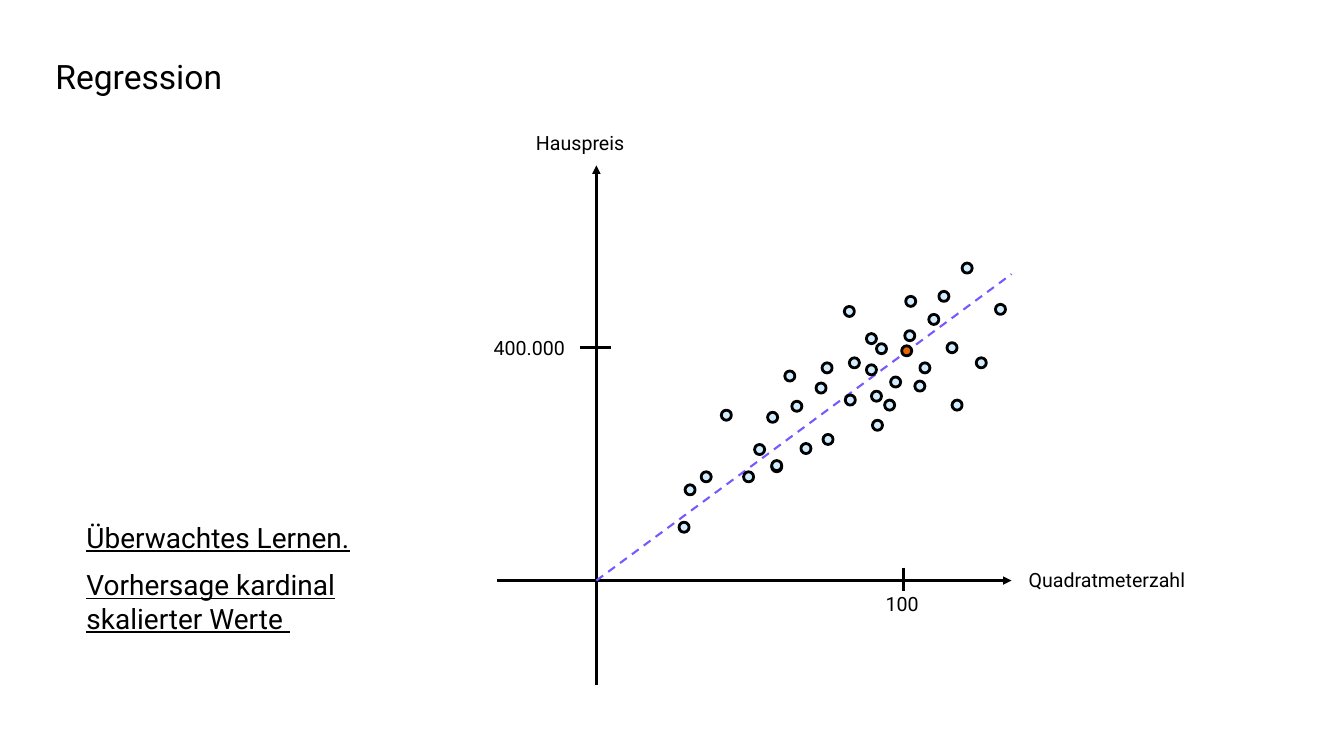
from dataclasses import dataclass

from lxml import etree
from pptx import Presentation
from pptx import util as u
from pptx.dml import color
from pptx.enum import dml, shapes, text
from pptx.oxml import ns

Pt = u.Pt


@dataclass(frozen=True)
class Theme:
    font: str = "Roboto"
    ink: str = "000000"
    dot: str = "D0EDFF"
    mark: str = "E76500"
    trend: str = "7858FF"
    title: int = 24
    body: int = 20
    label: int = 14
    stroke: float = 2
    dash: float = 1.5
    size: float = 7.2


THEME = Theme()

HOUSES = [
    (515.5, 293), (680.4, 285.8), (619.2, 238.3), (711.4, 217.4),
    (676.8, 244.8), (632.2, 285.8), (565.9, 286.6), (588.2, 310.3),
    (603.4, 218.9), (551.5, 329.8), (501.1, 337), (485.3, 373),
    (489.6, 346.3), (583.2, 273.6), (647.3, 211.7), (653.8, 272.2),
    (539.3, 317.5), (551.5, 329), (548.6, 294.5), (623.5, 300.2),
    (607, 255.6), (604.1, 282.2), (531.4, 337), (646.6, 236.2),
    (697.7, 255.6), (657.4, 259.2), (671, 208.1), (687.6, 187.9),
    (572.4, 316.8), (560.9, 265), (636.5, 269.3), (622.8, 279.4),
    (619.2, 260.6), (626.4, 245.5), (587.5, 259.2), (663.8, 224.6),
]

LABELS = [
    ("Hauspreis", 383, 93.6, 65),
    ("Quadratmeterzahl", 735.1, 405.4, 124),
    ("400.000", 352.8, 239.8, 65),
    ("100", 632.9, 422.6, 25),
]


def rgb(value):
    return color.RGBColor.from_string(value)


def add_line(parent, start, end, arrow=False, trend=False):
    line = parent.add_connector(
        shapes.MSO_CONNECTOR.STRAIGHT, *map(Pt, (*start, *end)))
    line.line.color.rgb = rgb(THEME.trend if trend else THEME.ink)
    line.line.width = Pt(THEME.dash if trend else THEME.stroke)
    if trend:
        line.line.dash_style = dml.MSO_LINE.DASH
    if arrow:
        tail = etree.SubElement(line.line._get_or_add_ln(), ns.qn("a:tailEnd"))
        tail.set("type", "triangle")
    etree.SubElement(line._element.spPr, ns.qn("a:effectLst"))


def add_dot(parent, spot, fill):
    dot = parent.add_shape(
        shapes.MSO_SHAPE.OVAL, *map(Pt, (*spot, THEME.size, THEME.size)))
    dot.shadow.inherit = False
    dot.fill.solid()
    dot.fill.fore_color.rgb = rgb(fill)
    dot.line.color.rgb = rgb(THEME.ink)
    dot.line.width = Pt(THEME.stroke)


def add_text(parent, words, left, top, width, height, size,
             inset=(0, 0), middle=False, under=None):
    box = parent.add_textbox(*map(Pt, (left, top, width, height)))
    frame = box.text_frame
    frame.word_wrap = True
    frame.margin_left = frame.margin_right = Pt(inset[0])
    frame.margin_top = frame.margin_bottom = Pt(inset[1])
    if middle:
        frame.vertical_anchor = text.MSO_ANCHOR.MIDDLE
    frame.text = words
    for i, para in enumerate(frame.paragraphs):
        if i:
            para.space_before = Pt(size / 2)
        for run in para.runs:
            run.font.name = THEME.font
            run.font.size = Pt(size)
            run.font.color.rgb = rgb(THEME.ink)
            run.font.underline = under


def add_plot(parent):
    group = parent.add_group_shape().shapes
    add_line(group, (426.2, 489.6), (426.2, 118.1), arrow=True)
    add_line(group, (355, 414.7), (722.9, 414.7), arrow=True)
    add_line(group, (426.2, 414.7), (722.9, 195.8), trend=True)
    for spot in HOUSES:
        add_dot(group, spot, THEME.dot)
    add_dot(parent, (644.4, 247), THEME.mark)
    add_line(parent, (414.7, 248.4), (437, 248.4))
    add_line(parent, (645.8, 405.4), (645.8, 421.9))
    for words, left, top, width in LABELS:
        add_text(parent, words, left, top, width, 17.3, THEME.label)


def main():
    deck = Presentation()
    deck.slide_width = Pt(960.48)
    deck.slide_height = Pt(540)
    parent = deck.slides.add_slide(deck.slide_layouts[6]).shapes
    add_plot(parent)
    add_text(parent, "Regression", 39.6, 39.6, 880.6, 28.8, THEME.title,
             middle=True)
    add_text(parent,
             "Überwachtes Lernen.\nVorhersage kardinal skalierter Werte ",
             54.7, 367.9, 221.8, 92.2, THEME.body, inset=(7.2, 3.6), under=True)
    deck.save("out.pptx")


if __name__ == "__main__":
    main()
